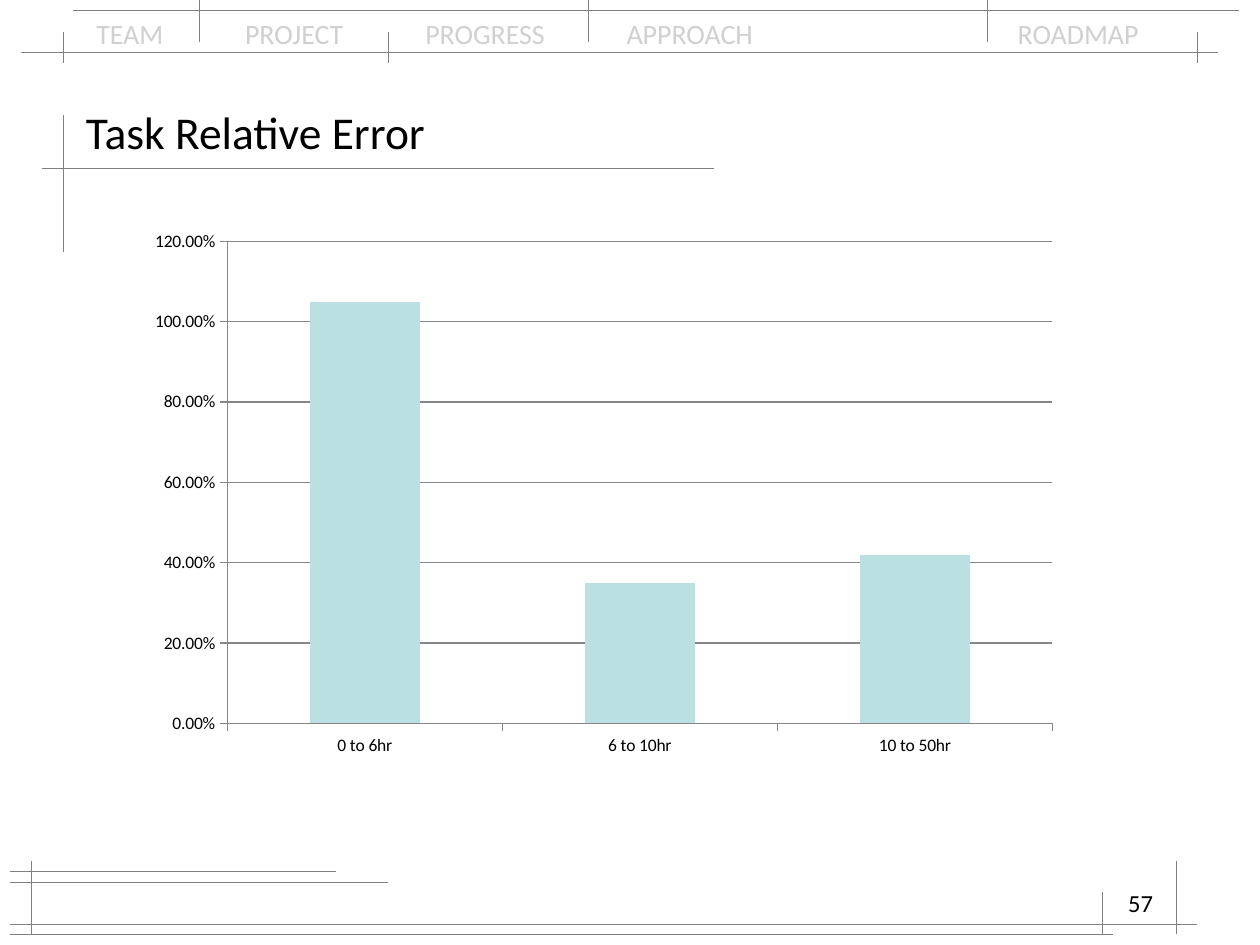
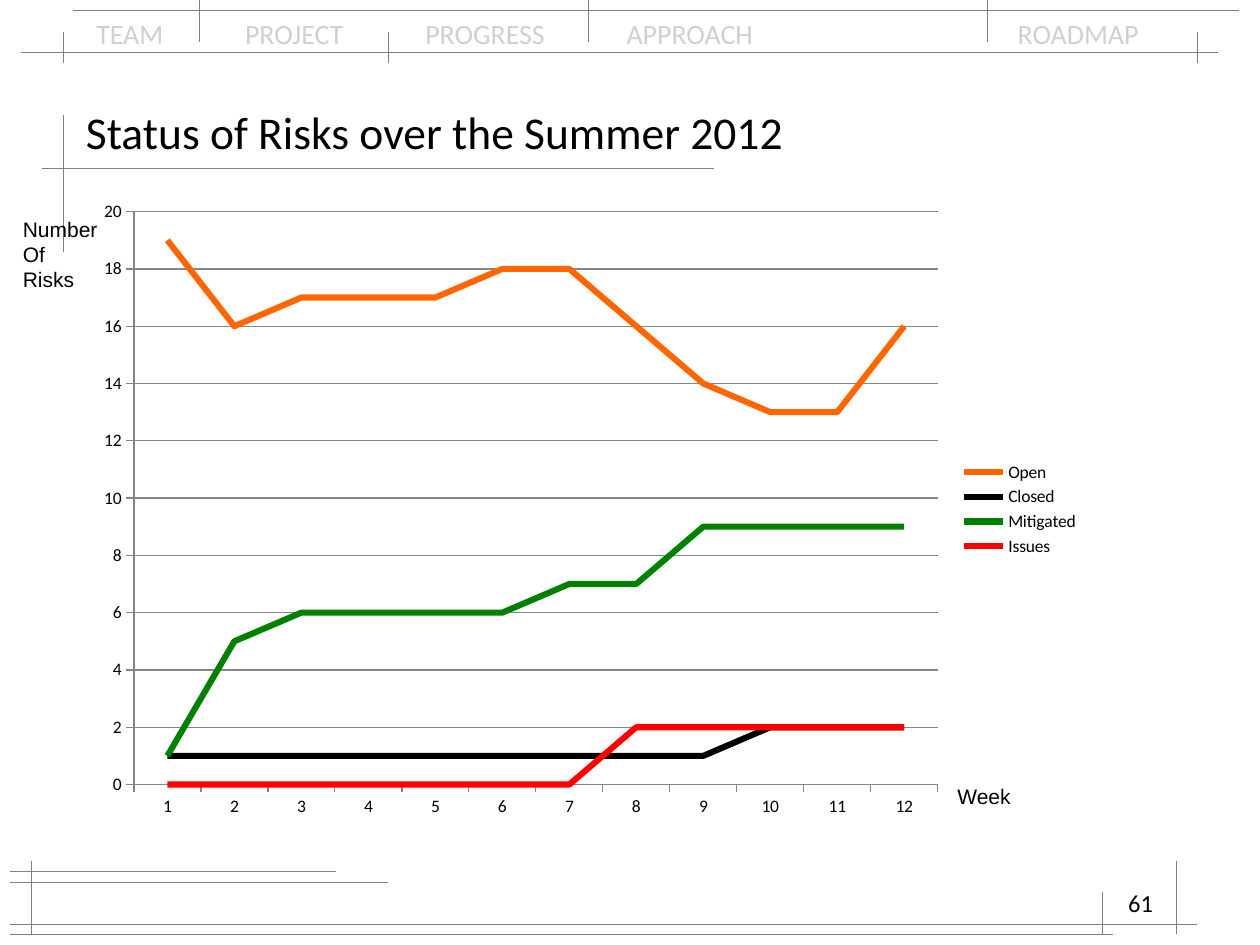
from lxml.etree import SubElement
from pptx import Presentation
from pptx.chart.data import CategoryChartData
from pptx.dml.color import RGBColor
from pptx.enum.chart import XL_CHART_TYPE as ChartType
from pptx.enum.chart import XL_LEGEND_POSITION as LegendPosition
from pptx.enum.chart import XL_TICK_MARK as TickMark
from pptx.enum.shapes import MSO_CONNECTOR as Connector
from pptx.enum.text import MSO_ANCHOR as Anchor
from pptx.enum.text import PP_ALIGN as Align
from pptx.oxml.ns import qn
from pptx.util import Pt

# Content
SECTIONS = [("TEAM", 0), ("PROJECT", 85), ("PROGRESS", 188),
            ("APPROACH", 303), ("ROADMAP", 526.5)]  # name, tab stop

ERROR_PAGE = {
    "title": "Task Relative Error",
    "number": "57",
    "kind": ChartType.COLUMN_CLUSTERED,
    "box": (78, 126, 534, 312),
    "categories": ["0 to 6hr", "6 to 10hr", "10 to 50hr"],
    "series": [("Series 1", "error", [1.05, 0.35, 0.42])],
    "scale": (1.2, 0.2, "0.00%"),  # maximum, step, number format
    "captions": [],
}
RISK_PAGE = {
    "title": "Status of Risks over the Summer 2012",
    "number": "61",
    "kind": ChartType.LINE,
    "box": (48, 108, 576, 366),
    "categories": [str(week) for week in range(1, 13)],
    "series": [
        ("Open", "open", [19, 16, 17, 17, 17, 18, 18, 16, 14, 13, 13, 16]),
        ("Closed", "closed", [1] * 9 + [2] * 3),
        ("Mitigated", "mitigated", [1, 5, 6, 6, 6, 6, 7, 7, 9, 9, 9, 9]),
        ("Issues", "issues", [0] * 7 + [2] * 5),
    ],
    "scale": (20, 2, "0"),
    "captions": [(["Number", "Of", "Risks"], (6, 120, 58, 51)),
                 (["Week"], (540, 444, 46, 22))],
}

# Shared style
COLORS = {"text": "000000", "section": "D0D0D0", "rule": "808080",
          "grid": "868686", "error": "BBE0E3", "open": "FF6600",
          "closed": "000000", "mitigated": "008000", "issues": "FF0000"}
BODY_FONT, CAPTION_FONT = "Calibri", "Arial"

# Rules of the page frame: (y, left, right) and (x, top, bottom)
ACROSS = [(30, 12, 696), (6, 42, 708), (96, 24, 408), (504, 6, 222),
          (528, 6, 684), (498, 6, 192), (534, 6, 636)]
DOWN = [(36, 66, 144), (18, 492, 534), (672, 492, 534), (630, 510, 534),
        (36, 18, 36), (222, 18, 36), (684, 18, 36),
        (114, 0, 24), (336, 0, 24), (564, 0, 24)]


def color(name):
    return RGBColor.from_string(COLORS[name])


def style_font(font, size, name=BODY_FONT, tone="text"):
    font.size, font.name = Pt(size), name
    font.color.rgb = color(tone)


def add_text(slide, lines, box, size, name=BODY_FONT, tone="text",
             align=Align.LEFT, anchor=Anchor.TOP, wrap=True):
    frame = slide.shapes.add_textbox(*map(Pt, box)).text_frame
    frame.word_wrap, frame.vertical_anchor = wrap, anchor
    for index, line in enumerate(lines):
        paragraph = frame.add_paragraph() if index else frame.paragraphs[0]
        paragraph.alignment = align
        run = paragraph.add_run()
        run.text = line
        style_font(run.font, size, name, tone)
    return frame


def add_rule(slide, x1, y1, x2, y2):
    rule = slide.shapes.add_connector(Connector.STRAIGHT, *map(Pt, (x1, y1, x2, y2)))
    rule.line.color.rgb = color("rule")
    rule.line.width = Pt(0.3)
    SubElement(rule._element.spPr, qn("a:effectLst"))


def add_frame(slide, title, number):
    # Section band, spaced by tab stops
    band = add_text(slide, ["\t".join(name for name, _ in SECTIONS)],
                    (48, 6, 640, 27), 16, tone="section")
    stops = SubElement(band.paragraphs[0]._p.get_or_add_pPr(), qn("a:tabLst"))
    for _, stop in SECTIONS[1:]:
        SubElement(stops, qn("a:tab"), pos=str(Pt(stop)), algn="l")

    # Thin rules
    for y, left, right in ACROSS:
        add_rule(slide, left, y, right, y)
    for x, top, bottom in DOWN:
        add_rule(slide, x, top, x, bottom)

    # Title and page number
    add_text(slide, [title], (42, 54, 636, 42), 26, anchor=Anchor.MIDDLE)
    add_text(slide, [number], (516, 504, 150, 36), 14, align=Align.RIGHT)


def add_page_chart(slide, page):
    data = CategoryChartData()
    data.categories = page["categories"]
    for name, _, values in page["series"]:
        data.add_series(name, values)
    chart = slide.shapes.add_chart(page["kind"], *map(Pt, page["box"]), data).chart
    style_font(chart.font, 10)
    chart.has_title = False

    # Axes
    amount = chart.value_axis
    amount.minimum_scale = 0
    amount.maximum_scale, amount.major_unit, number_format = page["scale"]
    amount.tick_labels.number_format = number_format
    amount.tick_labels.number_format_is_linked = False
    amount.has_major_gridlines = True
    for axis in (amount, chart.category_axis):
        axis.major_tick_mark = TickMark.OUTSIDE
    for part in (amount, chart.category_axis, amount.major_gridlines):
        part.format.line.color.rgb = color("grid")
        part.format.line.width = Pt(0.75)

    # Series
    plot = chart.plots[0]
    plot.vary_by_categories = False
    is_line = page["kind"] == ChartType.LINE
    for series, (_, tone, _) in zip(plot.series, page["series"]):
        if is_line:
            series.smooth = False
            series.format.line.color.rgb = color(tone)
            series.format.line.width = Pt(3.5)
        else:
            series.format.fill.solid()
            series.format.fill.fore_color.rgb = color(tone)
    if not is_line:
        plot.gap_width = 150

    chart.has_legend = is_line
    if is_line:
        chart.legend.position = LegendPosition.RIGHT
        chart.legend.include_in_layout = False


def main():
    deck = Presentation()
    deck.slide_width, deck.slide_height = Pt(720), Pt(540)
    for page in (ERROR_PAGE, RISK_PAGE):
        slide = deck.slides.add_slide(deck.slide_layouts[6])
        add_frame(slide, page["title"], page["number"])
        add_page_chart(slide, page)
        for lines, box in page["captions"]:
            add_text(slide, lines, box, 12, CAPTION_FONT, wrap=False)
    deck.save("out.pptx")


if __name__ == "__main__":
    main()
